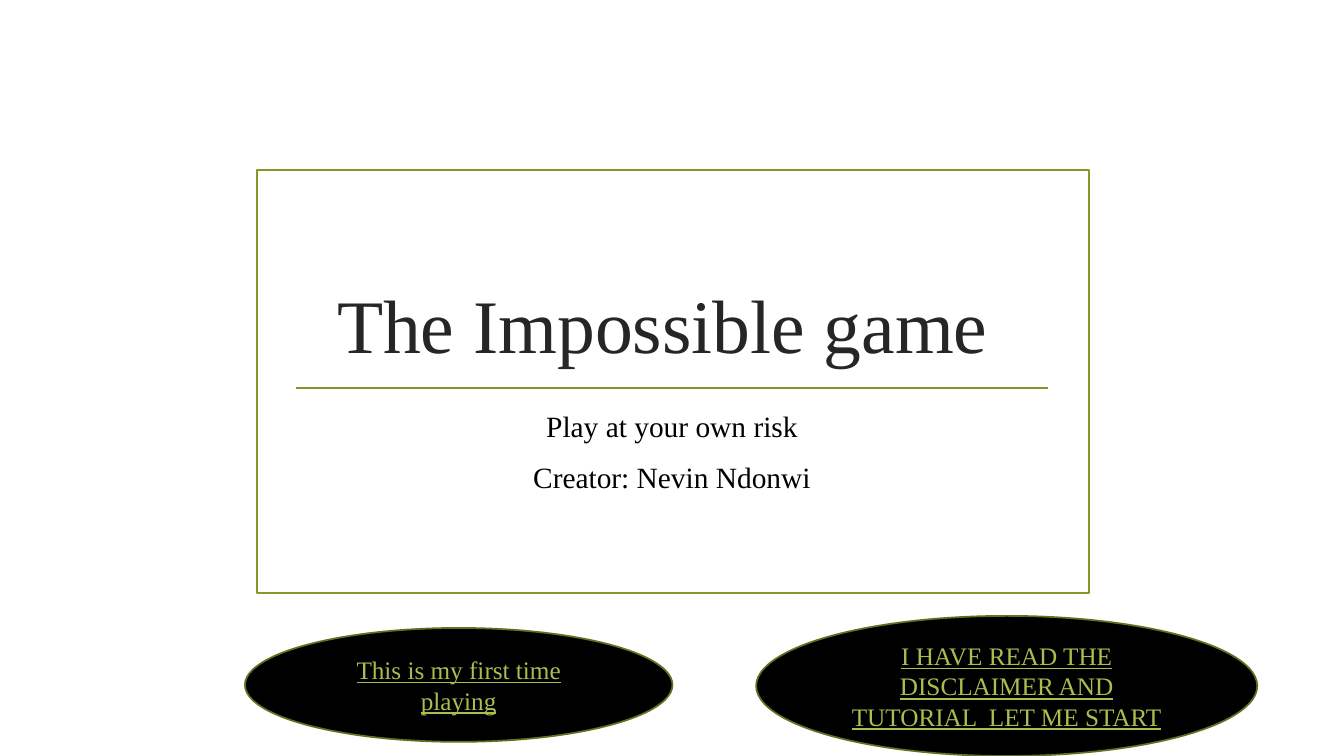
from dataclasses import dataclass

from lxml import etree
from pptx import Presentation
from pptx import util as u
from pptx.dml.color import RGBColor
from pptx.enum import shapes, text
from pptx.oxml.ns import qn

PX = u.Inches(1) // 100
FONT = "Times New Roman"
HUES = {
    "frame": "83992A",
    "title": "262626",
    "body": "000000",
    "fill": "000000",
    "edge": "61711F",
    "link": "A8BF4D",
}


@dataclass(frozen=True)
class Box:
    left: int
    top: int
    width: int
    height: int

    def emu(self) -> tuple[int, ...]:
        return tuple(n * PX for n in (self.left, self.top, self.width, self.height))


@dataclass(frozen=True)
class Button:
    box: Box
    label: str


FRAME = Box(255, 169, 825, 419)
TITLE = Box(294, 205, 745, 166)
BODY = Box(294, 400, 745, 144)
RULE_TOP = 385
BUTTONS = [
    Button(Box(243, 623, 424, 113), "This is my first time playing"),
    Button(
        Box(750, 611, 497, 139),
        "I HAVE READ THE DISCLAIMER AND TUTORIAL  LET ME START",
    ),
]


def color(name: str) -> RGBColor:
    return RGBColor.from_string(HUES[name])


def write(shape, *lines: str, size: int, hue: str, anchor=text.MSO_ANCHOR.MIDDLE,
          under: bool = False, before: int = 0, after: int = 0) -> None:
    frame = shape.text_frame
    frame.word_wrap = True
    frame.auto_size = text.MSO_AUTO_SIZE.NONE
    frame.vertical_anchor = anchor
    for i, line in enumerate(lines):
        para = frame.add_paragraph() if i else frame.paragraphs[0]
        para.alignment = text.PP_ALIGN.CENTER
        para.space_before = u.Pt(before if i else 0)
        para.space_after = u.Pt(after)
        run = para.add_run()
        run.text = line
        font = run.font
        font.name, font.size = FONT, u.Pt(size)
        font.color.rgb = color(hue)
        font.underline = under


def place(shape, box: Box) -> None:
    shape.left, shape.top, shape.width, shape.height = box.emu()


def stroke(shape, hue: str) -> None:
    shape.line.color.rgb = color(hue)
    shape.line.width = u.Pt(1.25)


def draw(slide, kind, box: Box, edge: str, fill: str | None = None):
    shape = slide.shapes.add_shape(kind, *box.emu())
    shape.shadow.inherit = False
    if fill:
        shape.fill.solid()
        shape.fill.fore_color.rgb = color(fill)
    else:
        shape.fill.background()
    stroke(shape, edge)
    return shape


def rule(slide, left: int, right: int, top: int) -> None:
    line = slide.shapes.add_connector(
        shapes.MSO_CONNECTOR.STRAIGHT, left * PX, top * PX, right * PX, top * PX)
    stroke(line, "frame")
    etree.SubElement(line._element.spPr, qn("a:effectLst"))


def main() -> None:
    deck = Presentation()
    deck.slide_width, deck.slide_height = 1333 * PX, 750 * PX
    slide = deck.slides.add_slide(deck.slide_layouts[0])
    title, body = slide.placeholders

    draw(slide, shapes.MSO_SHAPE.RECTANGLE, FRAME, "frame")
    rule(slide, TITLE.left, TITLE.left + TITLE.width, RULE_TOP)

    place(title, TITLE)
    write(title, "The Impossible game ", size=54, hue="title",
          anchor=text.MSO_ANCHOR.BOTTOM)
    place(body, BODY)
    write(body, "Play at your own risk", "Creator: Nevin Ndonwi", size=21,
          hue="body", anchor=text.MSO_ANCHOR.TOP, before=5, after=6)

    for button in BUTTONS:
        oval = draw(slide, shapes.MSO_SHAPE.OVAL, button.box, "edge", "fill")
        write(oval, button.label, size=18, hue="link", under=True)

    deck.save("out.pptx")


if __name__ == "__main__":
    main()
